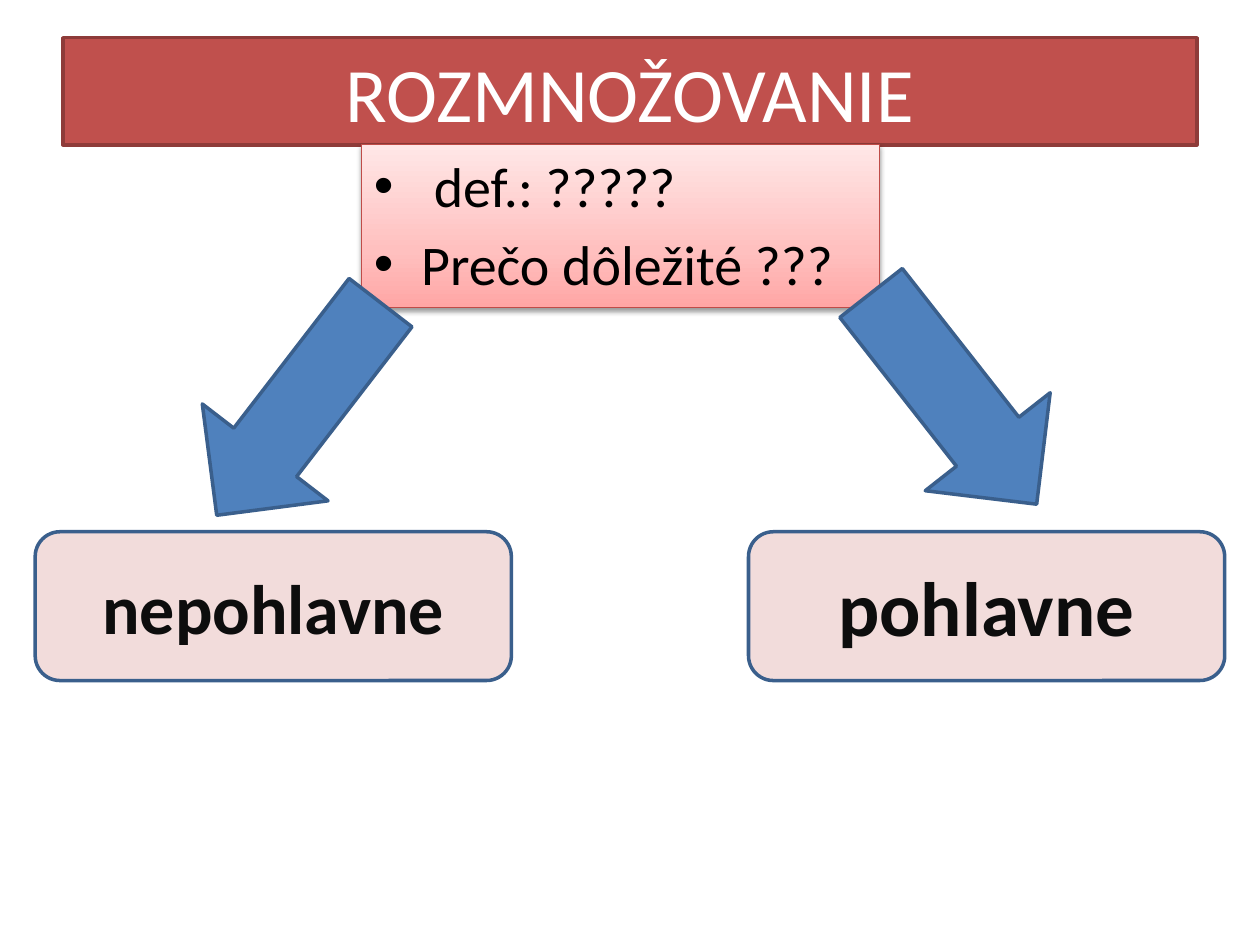
from lxml import etree
from pptx import Presentation
from pptx.dml.color import RGBColor
from pptx.enum import shapes, text
from pptx.oxml import ns
from pptx.util import Cm, Pt

FONT = "Calibri"
BLUE_LINE = "3A5F8C"


def rgb(value):
    return RGBColor.from_string(value)


def add_element(parent, tag, **attributes):
    return etree.SubElement(parent, ns.qn(tag), attributes)


def add_box(slide, kind, place, fill, line, width=2):
    """Add a filled, outlined shape without a shadow."""
    shape = slide.shapes.add_shape(kind, *(Cm(length) for length in place))
    shape.shadow.inherit = False
    shape.fill.solid()
    shape.fill.fore_color.rgb = rgb(fill)
    shape.line.color.rgb = rgb(line)
    shape.line.width = Pt(width)
    return shape


def add_text(paragraph, words, size, color, bold=False):
    run = paragraph.add_run()
    run.text = words
    run.font.name = FONT
    run.font.size = Pt(size)
    run.font.bold = bold
    run.font.color.rgb = rgb(color)


def add_label(shape, words, size, color, bold=False):
    """Centre one line of text in a shape."""
    frame = shape.text_frame
    frame.word_wrap = True
    frame.vertical_anchor = text.MSO_ANCHOR.MIDDLE
    paragraph = frame.paragraphs[0]
    paragraph.alignment = text.PP_ALIGN.CENTER
    add_text(paragraph, words, size, color, bold)


def add_bullets(shape, lines, size, color):
    frame = shape.text_frame
    frame.word_wrap = True
    frame.vertical_anchor = text.MSO_ANCHOR.TOP
    for index, words in enumerate(lines):
        paragraph = frame.add_paragraph() if index else frame.paragraphs[0]
        properties = paragraph._p.get_or_add_pPr()
        properties.set("marL", str(Cm(0.95)))
        properties.set("indent", str(-Cm(0.95)))
        add_element(properties, "a:buFont", typeface="Arial")
        add_element(properties, "a:buChar", char="•")
        paragraph.alignment = text.PP_ALIGN.LEFT
        if index:
            paragraph.space_before = Pt(size * 0.2)
        add_text(paragraph, words, size, color)


def set_gradient(shape, stops, angle):
    """Fill a shape with (percent, colour) stops."""
    shape.fill.gradient()
    gradient = shape._element.spPr.find(ns.qn("a:gradFill"))
    for child in list(gradient):
        gradient.remove(child)
    stop_list = add_element(gradient, "a:gsLst")
    for percent, color in stops:
        stop = add_element(stop_list, "a:gs", pos=str(percent * 1000))
        add_element(stop, "a:srgbClr", val=color)
    add_element(gradient, "a:lin", ang=str(angle * 60000), scaled="0")


def add_shadow(shape, color, opacity, blur, distance):
    """Cast a soft shadow straight down."""
    effects = shape._element.spPr.find(ns.qn("a:effectLst"))
    shadow = add_element(effects, "a:outerShdw", blurRad=str(Pt(blur)),
                         dist=str(Pt(distance)), dir="5400000", rotWithShape="0")
    shade = add_element(shadow, "a:srgbClr", val=color)
    add_element(shade, "a:alpha", val=str(opacity * 1000))


def main():
    presentation = Presentation()
    presentation.slide_width, presentation.slide_height = Cm(25.4), Cm(19.05)
    slide = presentation.slides.add_slide(presentation.slide_layouts[6])
    kinds = shapes.MSO_SHAPE

    # Title bar
    title = add_box(slide, kinds.RECTANGLE, (1.27, 0.76, 22.86, 2.16), "C0504D", "8E3B39")
    add_label(title, "ROZMNOŽOVANIE", 44, "FFFFFF")

    # Questions under the title
    questions = add_box(slide, kinds.RECTANGLE, (7.29, 2.92, 10.44, 3.28),
                        "FFC0BF", "BF4C48", 0.75)
    set_gradient(questions, [(0, "FFA6A5"), (35, "FFC0BF"), (100, "FFE7E7")], 270)
    add_shadow(questions, "000000", 38, 3.1, 1.6)
    add_bullets(questions, [" def.: ?????", "Prečo dôležité ???"], 32, "000000")

    # Arrows to the two kinds
    for left, top, rotation in [(4.42, 5.54, 37.6), (17.63, 5.33, 321.9)]:
        arrow = add_box(slide, kinds.DOWN_ARROW, (left, top, 3.2, 5.41), "4F81BD", BLUE_LINE)
        arrow.rotation = rotation

    # The two kinds
    for left, words, size in [(0.71, "nepohlavne", 40), (15.09, "pohlavne", 44)]:
        box = add_box(slide, kinds.ROUNDED_RECTANGLE, (left, 10.72, 9.6, 3), "F2DCDB", BLUE_LINE)
        add_label(box, words, size, "0D0D0D", bold=True)

    presentation.save("out.pptx")


if __name__ == "__main__":
    main()
